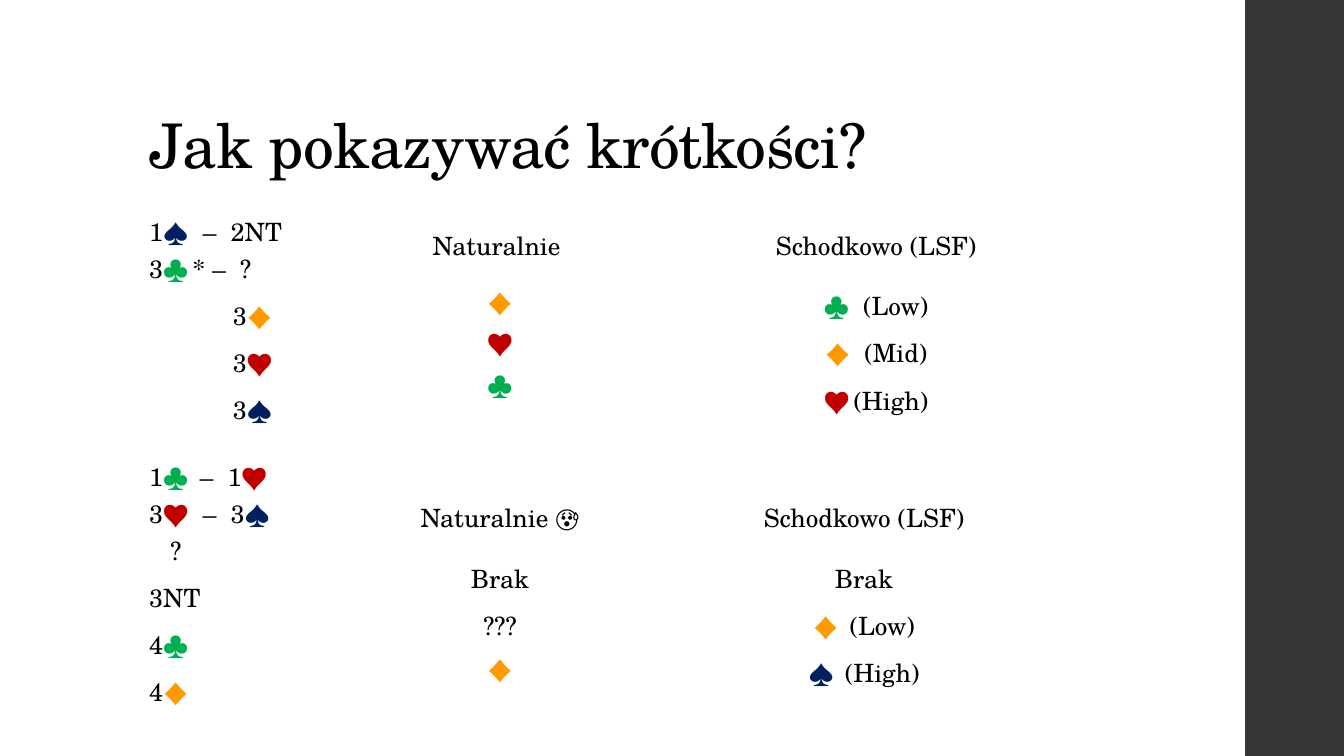
from pptx import Presentation
from pptx import util as u
from pptx.dml.color import RGBColor
from pptx.enum import shapes, text

SERIF, SYMBOL = "TeX Gyre Schola", "Cabin"
BLACK, SIDEBAR = "000000", "353537"
SUITS = {"♠": "002060", "♥": "C00000", "♦": "FF9900", "♣": "00B050"}
NO_STYLE = "{2D5ABB26-0587-4C30-8999-92F81FD0307C}"
HEAD_H, ROW_H = 0.73, 0.41
TITLE = "Jak pokazywać krótkości?"

# "|" separates runs; each row is a list of paragraphs.
# AUCTIONS: left, top, column widths, column of the replies, rows
AUCTIONS = [
    (1.38, 2.06, (0.83, 0.83), 1,
     [["1|♠ |–  2NT", "3|♣|* –  ?"], ["3|♦"], ["3|♥"], ["3|♠"]]),
    (1.38, 4.49, (0.83, 0.98), 0,
     [["1|♣| –  1|♥", "3|♥ |–  3|♠", "?"], ["3NT"], ["4|♣"], ["4|♦"]]),
]
# METHODS: left, top, width, rows
METHODS = [
    (3.15, 2.07, 3.62, ["Naturalnie ", "♦", "♥", "♣"]),
    (6.88, 2.07, 3.62, ["Schodkowo (LSF)", "♣ |(Low)", "♦ |(Mid)", "♥|(High)"]),
    (6.76, 4.77, 3.62, ["Schodkowo (LSF)", "Brak", "♦| (Low)", "♠| (High)"]),
    (3.23, 4.77, 3.46, ["Naturalnie |😰", "Brak", "???", "♦"]),
]


def rgb(color):
    return RGBColor.from_string(color)


def write(p, content, size=18, align=text.PP_ALIGN.LEFT, spacing=0):
    """Fill a paragraph, giving each suit symbol its own font and colour."""
    p.alignment = align
    for part in content.split("|"):
        suit = part[0] in SUITS
        r = p.add_run()
        r.text = part
        r.font.size = u.Pt(size)
        r.font.name = SYMBOL if suit or part == "😰" else SERIF
        r.font.color.rgb = rgb(SUITS.get(part[0], BLACK))
        r._r.get_or_add_rPr().set("spc", str(300 if suit else spacing))


def add_plain_table(s, left, top, widths, row_count):
    frame = s.shapes.add_table(
        row_count, len(widths), u.Inches(left), u.Inches(top),
        u.Inches(sum(widths)), u.Inches(HEAD_H + ROW_H * (row_count - 1)))
    table = frame.table
    table.first_row = table.horz_banding = False
    table._tbl.tblPr[0].text = NO_STYLE
    for column, width in zip(table.columns, widths):
        column.width = u.Inches(width)
    for i, row in enumerate(table.rows):
        row.height = u.Inches(ROW_H if i else HEAD_H)
    for cell in table.iter_cells():
        cell.fill.background()
    return table


prs = Presentation()
prs.slide_width, prs.slide_height = u.Inches(13.33), u.Inches(7.5)
s = prs.slides.add_slide(prs.slide_layouts[5])

sidebar = s.shapes.add_shape(shapes.MSO_SHAPE.RECTANGLE, u.Inches(12.35), 0,
                             u.Inches(1), prs.slide_height)
sidebar.shadow.inherit = False
sidebar.fill.solid()
sidebar.fill.fore_color.rgb = rgb(SIDEBAR)
sidebar.line.fill.background()

title = s.shapes.title
title.left, title.top = u.Inches(1.38), u.Inches(0.4)
title.width, title.height = u.Inches(10.6), u.Inches(1.45)
tf = title.text_frame
tf.vertical_anchor = text.MSO_ANCHOR.BOTTOM
tf.auto_size = text.MSO_AUTO_SIZE.NONE
tf.paragraphs[0].line_spacing = 0.9
write(tf.paragraphs[0], TITLE, size=44, spacing=-50)

for left, top, widths, reply_column, rows in AUCTIONS:
    table = add_plain_table(s, left, top, widths, len(rows))
    table.cell(0, 0).merge(table.cell(0, 1))
    for i, lines in enumerate(rows):
        tf = table.cell(i, reply_column if i else 0).text_frame
        for j, line in enumerate(lines):
            p = tf.paragraphs[0] if j == 0 else tf.add_paragraph()
            write(p, line)
            if line == "?":
                p._p.get_or_add_pPr().set("marL", str(u.Inches(0.21)))

for left, top, width, rows in METHODS:
    table = add_plain_table(s, left, top, (width,), len(rows))
    table.cell(0, 0).vertical_anchor = text.MSO_ANCHOR.MIDDLE
    for i, line in enumerate(rows):
        write(table.cell(i, 0).text_frame.paragraphs[0], line,
              align=text.PP_ALIGN.CENTER)

prs.save("out.pptx")
